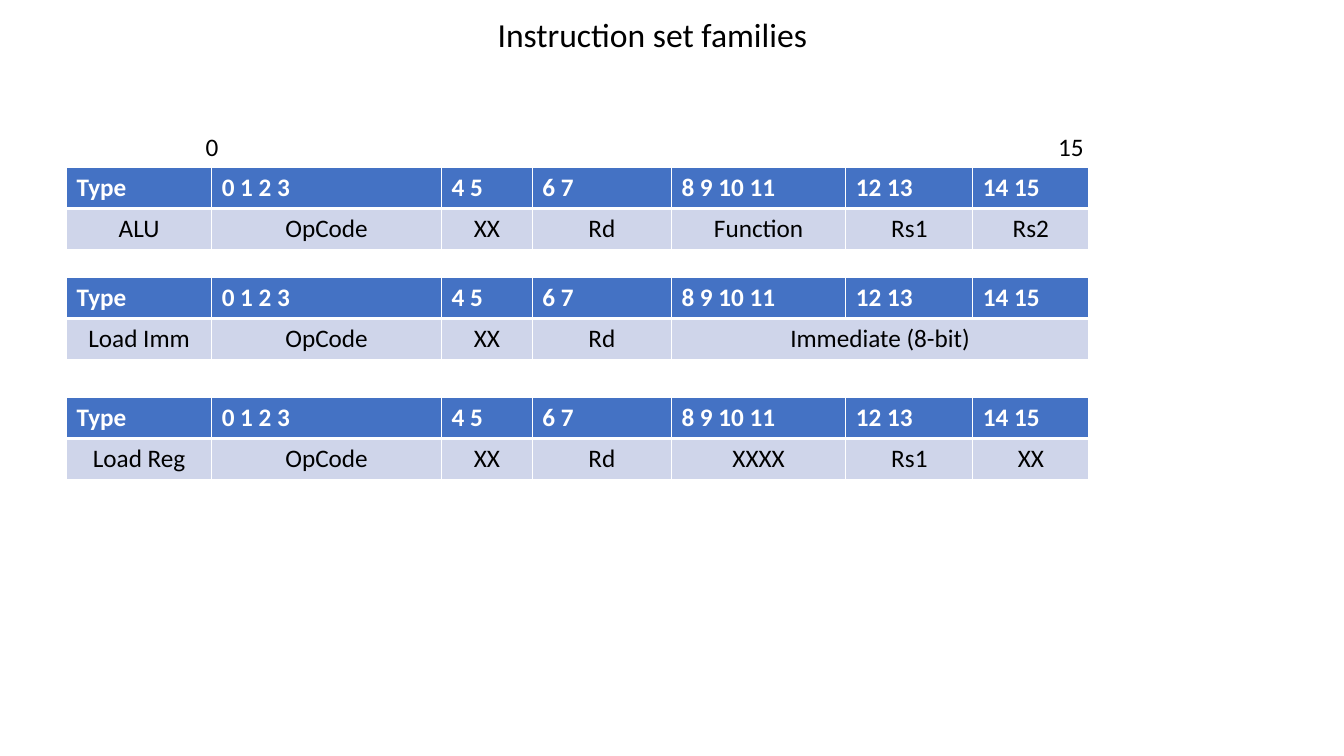
from lxml.etree import SubElement
from pptx import Presentation
from pptx.dml.color import RGBColor
from pptx.enum.text import MSO_ANCHOR, MSO_AUTO_SIZE, PP_ALIGN
from pptx.oxml.ns import qn
from pptx.util import Pt

PX = 9144  # EMU, 100 px to the inch
FONT = "Calibri"
BLACK = RGBColor(0, 0, 0)
WHITE = RGBColor(255, 255, 255)
BLUE = RGBColor(0x44, 0x72, 0xC4)
PALE = RGBColor(0xCF, 0xD5, 0xEA)

LEFT = 66
ROW = 41
WIDTHS = [144, 228, 90, 138, 173, 126, 115]
HEAD = ["Type", "0 1 2 3", "4 5", "6 7", "8 9 10 11", "12 13", "14 15"]
# Top of each table and its fields; a short row stretches its last field.
FORMATS = [
    (166, ["ALU", "OpCode", "XX", "Rd", "Function", "Rs1", "Rs2"]),
    (275, ["Load Imm", "OpCode", "XX", "Rd", "Immediate (8-bit)"]),
    (394, ["Load Reg", "OpCode", "XX", "Rd", "XXXX", "Rs1", "XX"]),
]


def scale(*lengths):
    return [n * PX for n in lengths]


def add_text(para, text, size, color=BLACK, bold=False):
    run = para.add_run()
    run.text = text
    font = run.font
    font.name, font.size, font.bold = FONT, Pt(size), bold
    font.color.rgb = color


def set_title(slide, text):
    title = slide.shapes.title
    title.left, title.top, title.width, title.height = scale(147, 13, 1000, 56)
    frame = title.text_frame
    frame.word_wrap = True
    frame.auto_size = MSO_AUTO_SIZE.NONE
    frame.vertical_anchor = MSO_ANCHOR.TOP
    para = frame.paragraphs[0]
    para.alignment = PP_ALIGN.CENTER
    para.line_spacing = 0.9
    add_text(para, text, 24)


def add_scale(slide, first, last):
    """Label the outer bits, the last one right-aligned at a tab stop."""
    box = slide.shapes.add_textbox(*scale(194, 125, 915, 40))
    box.text_frame.word_wrap = True
    para = box.text_frame.paragraphs[0]
    tabs = SubElement(para._p.get_or_add_pPr(), qn("a:tabLst"))
    SubElement(tabs, qn("a:tab"), pos=str(871 * PX), algn="r")
    add_text(para, f"{first}\t{last}", 18)


def set_edges(cell, top, bottom):
    props = cell._tc.get_or_add_tcPr()
    for side, width in zip("LRTB", (1, 1, top, bottom)):
        line = SubElement(props, qn(f"a:ln{side}"), w=str(Pt(width)))
        fill = SubElement(line, qn("a:solidFill"))
        SubElement(fill, qn("a:srgbClr"), val=str(WHITE))


def fill_row(cells, texts, head):
    for cell in cells:
        set_edges(cell, *((1, 3) if head else (3, 1)))
        cell.fill.solid()
        cell.fill.fore_color.rgb = BLUE if head else PALE
    for cell, text in zip(cells, texts):
        para = cell.text_frame.paragraphs[0]
        para.alignment = PP_ALIGN.LEFT if head else PP_ALIGN.CENTER
        add_text(para, text, 18, WHITE if head else BLACK, head)


def add_format(slide, top, fields):
    count = len(HEAD)
    area = scale(LEFT, top, sum(WIDTHS), 2 * ROW)
    table = slide.shapes.add_table(2, count, *area).table
    for col, width in zip(table.columns, WIDTHS):
        col.width = width * PX
    for row, texts in enumerate((HEAD, fields)):
        cells = [table.cell(row, col) for col in range(count)]
        fill_row(cells, texts, row == 0)
    if len(fields) < count:
        table.cell(1, len(fields) - 1).merge(table.cell(1, count - 1))


def main():
    deck = Presentation()
    deck.slide_width, deck.slide_height = scale(1333, 750)
    slide = deck.slides.add_slide(deck.slide_layouts[5])
    set_title(slide, "Instruction set families")
    add_scale(slide, 0, 15)
    for top, fields in FORMATS:
        add_format(slide, top, fields)
    deck.save("out.pptx")


if __name__ == "__main__":
    main()
